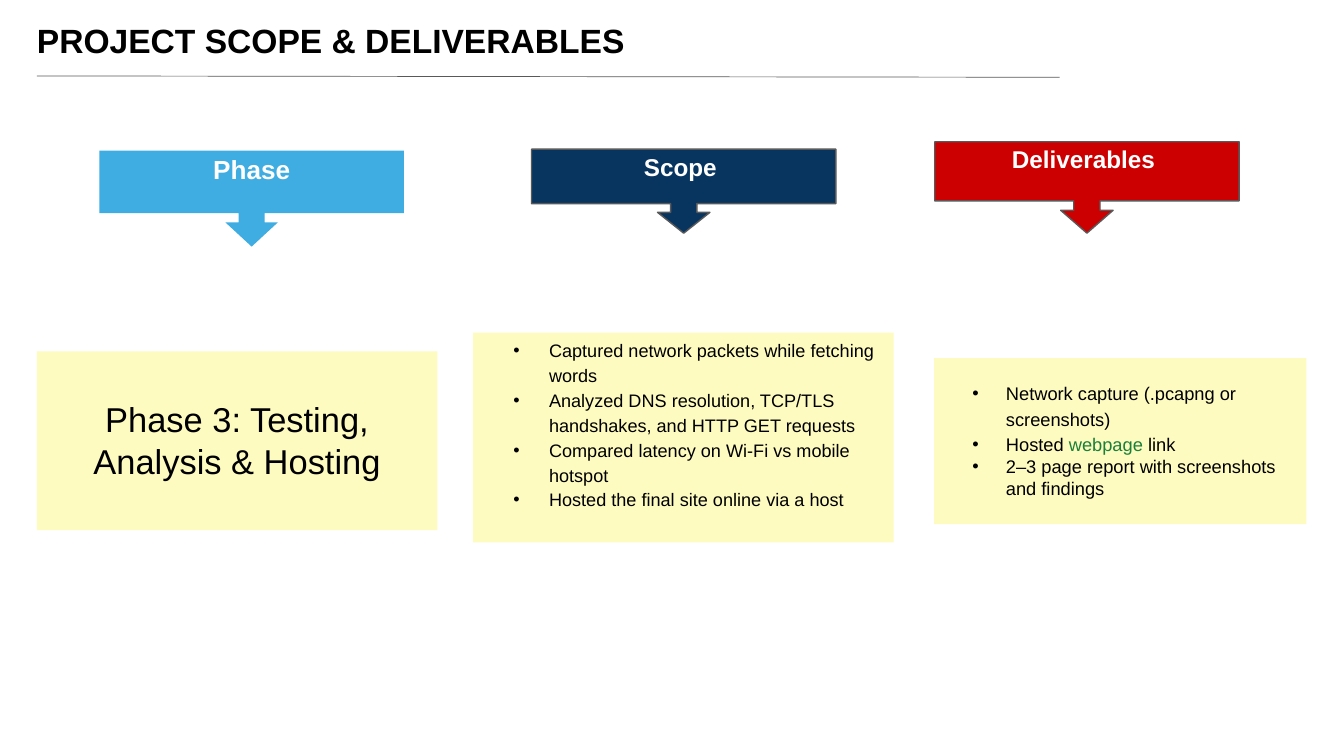
"""Build the project scope and deliverables slide."""
from lxml import etree
from pptx import Presentation
from pptx import util as u
from pptx.dml.color import RGBColor
from pptx.enum import shapes, text
from pptx.oxml import ns

BLACK = RGBColor(0x00, 0x00, 0x00)
WHITE = RGBColor(0xFF, 0xFF, 0xFF)
GRAY = RGBColor(0x59, 0x59, 0x59)
SKY = RGBColor(0x3F, 0xAC, 0xE2)
NAVY = RGBColor(0x08, 0x35, 0x60)
RED = RGBColor(0xCC, 0x00, 0x00)
CREAM = RGBColor(0xFE, 0xFB, 0xC1)
GREEN = RGBColor(0x18, 0x80, 0x38)

LEFT = 0.55
HEADER_WIDTH = 4.53
SHAFT_WIDTH = 0.39
HEAD_WIDTH = 0.78

HEADERS = [
    dict(label="Phase", left=1.48, top=2.24, height=1.43, box=0.93, head=0.36,
         fill=SKY, size=28, spacing=33.6),
    dict(label="Scope ", left=7.91, top=2.22, height=1.25, box=0.81, head=0.31,
         fill=NAVY, size=26, spacing=31.2, outline=GRAY),
    dict(label="Deliverables ", left=13.91, top=2.11, height=1.36, box=0.88, head=0.34,
         fill=RED, size=26, spacing=31.2, outline=GRAY),
]

PHASE = ["Phase 3: Testing, Analysis & Hosting"]
SCOPE = [
    "Captured network packets while fetching words",
    "Analyzed DNS resolution, TCP/TLS handshakes, and HTTP GET requests",
    "Compared latency on Wi-Fi vs mobile hotspot",
    "Hosted the final site online via a host",
]
DELIVERABLES = [
    "Network capture (.pcapng or screenshots)",
    [("Hosted ", BLACK), ("webpage", GREEN), (" link", BLACK)],
    "2–3 page report with screenshots and findings",
]


def write(paragraph, content, size, spacing, color=BLACK, bold=False, align=None, indent=0):
    """Fill a paragraph with text, or with (text, colour) pairs."""
    paragraph.line_spacing = u.Pt(spacing)
    paragraph.alignment = align or text.PP_ALIGN.LEFT
    if indent:
        props = paragraph._p.get_or_add_pPr()
        props.set("marL", str(u.Inches(2 * indent)))
        props.set("indent", str(-u.Inches(indent)))
        etree.SubElement(props, ns.qn("a:buFont")).set("typeface", "Arial")
        etree.SubElement(props, ns.qn("a:buChar")).set("char", "•")
    for words, tint in [(content, color)] if isinstance(content, str) else content:
        run = paragraph.add_run()
        run.text = words
        run.font.name = "Arial"
        run.font.size = u.Pt(size)
        run.font.bold = bold
        run.font.color.rgb = tint


class Deck:
    """Hold the presentation style and the current slide."""

    def __init__(self):
        self.show = Presentation()
        self.show.slide_width = u.Inches(20)
        self.show.slide_height = u.Inches(11.25)
        self.slide = self.show.slides.add_slide(self.show.slide_layouts[6])

    def shape(self, kind, left, top, width, height, fill, outline=None):
        """Add a filled shape with an optional outline."""
        part = self.slide.shapes.add_shape(kind, *map(u.Inches, (left, top, width, height)))
        part.shadow.inherit = False
        part.fill.solid()
        part.fill.fore_color.rgb = fill
        if outline is None:
            part.line.fill.background()
        else:
            part.line.color.rgb = outline
            part.line.width = u.Pt(1.5)
        return part

    def frame(self, owner, anchor, margin, bottom=None):
        """Prepare the text frame of a shape."""
        body = owner.text_frame
        body.word_wrap = True
        body.vertical_anchor = anchor
        body.margin_left = body.margin_right = body.margin_top = u.Inches(margin)
        body.margin_bottom = u.Inches(margin if bottom is None else bottom)
        return body

    def title(self, words):
        """Add the slide heading."""
        heading = self.slide.shapes.add_textbox(*map(u.Inches, (LEFT, 0.29, 13.7, 0.62)))
        body = self.frame(heading, text.MSO_ANCHOR.TOP, 0)
        write(body.paragraphs[0], words, size=36, spacing=43.2, bold=True)

    def rule(self, start, end):
        """Add a thin straight line."""
        line = self.slide.shapes.add_connector(
            shapes.MSO_CONNECTOR.STRAIGHT, *map(u.Inches, start + end))
        line.line.color.rgb = GRAY
        line.line.width = u.Pt(0.75)
        etree.SubElement(line._element.spPr, ns.qn("a:effectLst"))

    def header(self, label, left, top, height, box, head, fill, size, spacing, outline=None):
        """Add a column header that points down."""
        callout = self.shape(shapes.MSO_SHAPE.DOWN_ARROW_CALLOUT, left, top,
                             HEADER_WIDTH, height, fill, outline)
        for index, length in enumerate((SHAFT_WIDTH, HEAD_WIDTH / 2, head, box)):
            callout.adjustments[index] = length / height
        body = self.frame(callout, text.MSO_ANCHOR.TOP, 0.04)
        write(body.paragraphs[0], label, size, spacing, WHITE, True, text.PP_ALIGN.CENTER)

    def note(self, left, top, width, height, lines, spacings, bottom, **style):
        """Add a cream panel with one paragraph per line."""
        panel = self.shape(shapes.MSO_SHAPE.RECTANGLE, left, top, width, height, CREAM)
        body = self.frame(panel, text.MSO_ANCHOR.MIDDLE, 0.07, bottom)
        for index, (line, spacing) in enumerate(zip(lines, spacings)):
            paragraph = body.add_paragraph() if index else body.paragraphs[0]
            write(paragraph, line, spacing=spacing, **style)


def main():
    """Compose and save the slide."""
    deck = Deck()
    for header in HEADERS:
        deck.header(**header)
    deck.note(LEFT, 5.23, 5.96, 2.66, PHASE, [44.2], 0.1,
              size=36.9, align=text.PP_ALIGN.CENTER)
    deck.note(7.04, 4.95, 6.26, 3.12, SCOPE, [26.7] * len(SCOPE), 0.49,
              size=19.4, indent=0.53)
    deck.note(13.9, 5.33, 5.54, 2.47, DELIVERABLES, [27, 27, 23.5], 0.13,
              size=19.6, indent=0.5)
    deck.rule((LEFT, 1.13), (15.77, 1.15))
    deck.title("PROJECT SCOPE & DELIVERABLES")
    deck.show.save("out.pptx")


if __name__ == "__main__":
    main()
